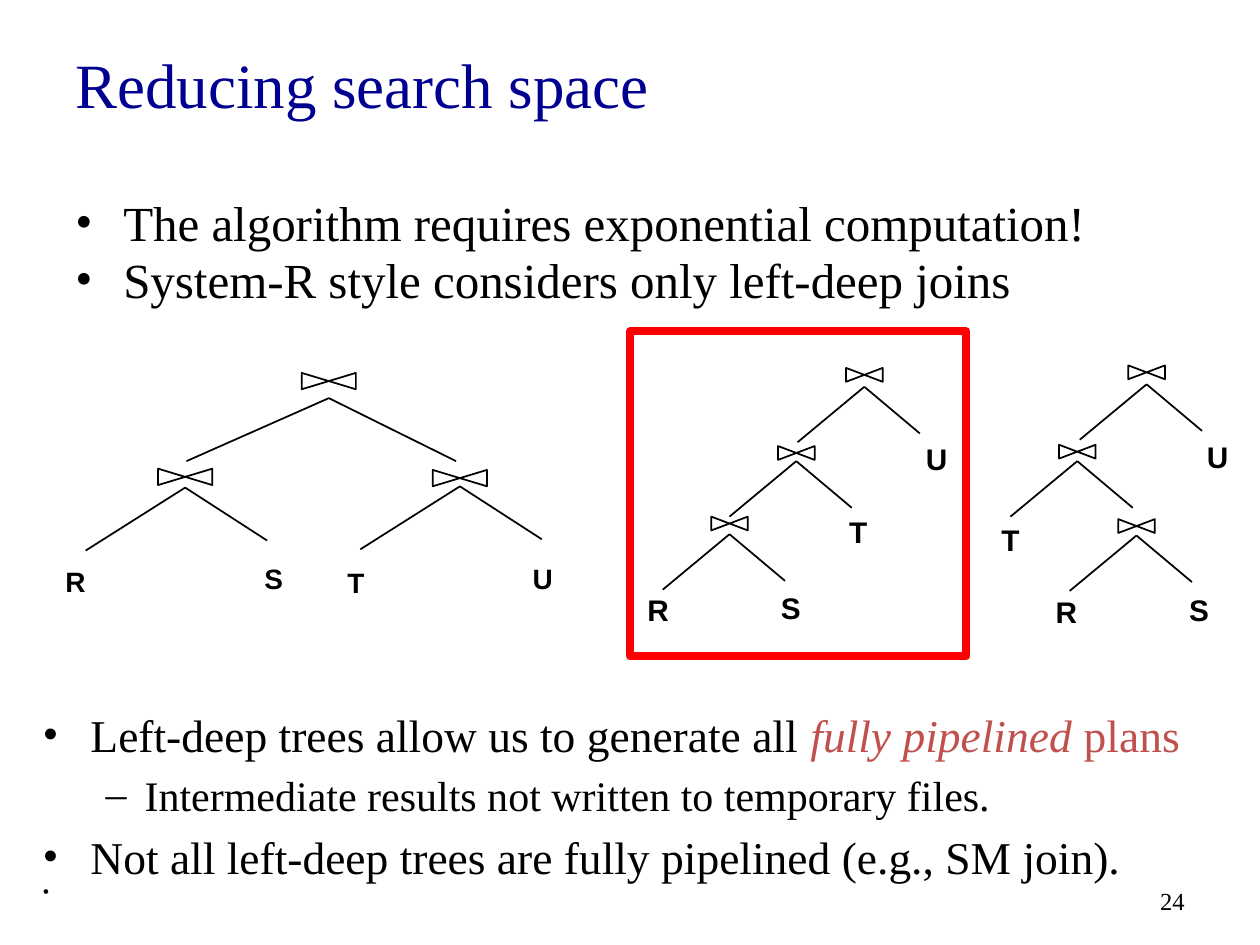
from lxml import etree
from pptx import Presentation
from pptx.dml.color import RGBColor
from pptx.enum.shapes import MSO_CONNECTOR, MSO_SHAPE
from pptx.enum.text import MSO_ANCHOR, PP_ALIGN
from pptx.oxml.ns import qn
from pptx.util import Inches, Pt

STRAIGHT = MSO_CONNECTOR.STRAIGHT
RECTANGLE = MSO_SHAPE.RECTANGLE
TOP, MIDDLE = MSO_ANCHOR.TOP, MSO_ANCHOR.MIDDLE
LEFT, RIGHT = PP_ALIGN.LEFT, PP_ALIGN.RIGHT
COLORS = {"title": "000090", "text": "000000", "accent": "C0504D", "frame": "FF0000"}
SERIF, SANS = "Times New Roman", "Arial"

deck = Presentation()
deck.slide_width, deck.slide_height = Inches(10), Inches(7.5)
page = deck.slides.add_slide(deck.slide_layouts[6])
shapes = page.shapes


def color(name):
    return RGBColor.from_string(COLORS[name])


def add_text(paragraphs, left, top, width, height, font=SERIF, size=28, bold=False,
             ink="text", anchor=TOP, align=LEFT, wrap=True):
    box = shapes.add_textbox(Inches(left), Inches(top), Inches(width), Inches(height))
    frame = box.text_frame
    frame.word_wrap = wrap
    frame.vertical_anchor = anchor
    for index, item in enumerate(paragraphs):
        para = frame.paragraphs[0] if index == 0 else frame.add_paragraph()
        para.alignment = align
        for text, style in item["spans"]:
            span = para.add_run()
            span.text = text
            span.font.name = font
            span.font.size = Pt(item.get("size", size))
            span.font.bold = bold
            span.font.italic = style.get("italic", False)
            span.font.color.rgb = color(style.get("ink", ink))
        if "bullet" in item:
            para.level = item.get("level", 0)
            margin, hanging = [(0.38, 0.38), (0.81, 0.31)][para.level]
            properties = para._p.get_or_add_pPr()
            properties.set("marL", str(Inches(margin)))
            properties.set("indent", str(-Inches(hanging)))
            before = etree.SubElement(properties, qn("a:spcBef"))
            etree.SubElement(before, qn("a:spcPct")).set("val", "20000")
            etree.SubElement(properties, qn("a:buFont")).set("typeface", font)
            etree.SubElement(properties, qn("a:buChar")).set("char", item["bullet"])
            if "spacing" in item:
                para.line_spacing = item["spacing"]


add_text([{"spans": [("Reducing search space", {})]}], 0.5, 0.06, 9, 1.2,
         size=36, ink="title", anchor=MIDDLE)
add_text([{"spans": [(text, {})], "bullet": "•", "spacing": 0.8} for text in (
    "The algorithm requires exponential computation!",
    "System-R style considers only left-deep joins")], 0.5, 1.57, 8.92, 1.01)

SHORT = ((-0.53, 0.44), (0.44, 0.37))
LONG = ((-0.79, 0.5), (0.65, 0.42))
ROOT = ((-1.13, 0.5), (1.01, 0.5))
trees = [
    {"join_size": (0.43, 0.13), "text_size": 16,
     "joins": [(2.61, 2.96, 3.16, ROOT), (1.47, 3.72, 3.87, LONG), (3.65, 3.73, 3.86, LONG)],
     "leaves": [("R", 0.42, 4.43), ("S", 2, 4.41), ("T", 2.66, 4.44), ("U", 4.13, 4.41)]},
    {"join_size": (0.29, 0.11), "text_size": 17,
     "joins": [(6.86, 2.92, 3.07, SHORT), (6.32, 3.54, 3.66, SHORT), (5.79, 4.1, 4.24, SHORT)],
     "leaves": [("R", 5.04, 4.65), ("S", 6.1, 4.63), ("T", 6.64, 4.03), ("U", 7.25, 3.45)]},
    {"join_size": (0.29, 0.11), "text_size": 17,
     "joins": [(9.1, 2.9, 3.05, SHORT), (8.55, 3.53, 3.66, SHORT), (9.02, 4.12, 4.25, SHORT)],
     "leaves": [("R", 8.28, 4.66), ("S", 9.34, 4.65), ("T", 7.85, 4.09), ("U", 9.48, 3.43)]},
]

for tree in trees:
    width, height = tree["join_size"]
    for center, top, apex, branches in tree["joins"]:
        left, right, bottom = center - width / 2, center + width / 2, top + height
        outline = shapes.build_freeform(Inches(left), Inches(top))
        outline.add_line_segments([(Inches(x), Inches(y)) for x, y in (
            (right, bottom), (right, top), (left, bottom))], close=True)
        join = outline.convert_to_shape()
        join.shadow.inherit = False
        join.fill.background()
        join.line.color.rgb = color("text")
        join.line.width = Pt(1)
        for across, down in branches:
            branch = shapes.add_connector(STRAIGHT, Inches(center), Inches(apex),
                                          Inches(center + across), Inches(apex + down))
            branch.line.color.rgb = color("text")
            branch.line.width = Pt(1)
            etree.SubElement(branch._element.spPr, qn("a:effectLst"))
    for letter, left, top in tree["leaves"]:
        add_text([{"spans": [(letter, {})]}], left, top, 0.37, 0.38, font=SANS,
                 size=tree["text_size"], bold=True, wrap=False)

frame_box = shapes.add_shape(RECTANGLE, Inches(5), Inches(2.63), Inches(2.67), Inches(2.58))
frame_box.shadow.inherit = False
frame_box.fill.background()
frame_box.line.color.rgb = color("frame")
frame_box.line.width = Pt(4.5)

add_text([
    {"spans": [("Left-deep trees allow us to generate all ", {}),
               ("fully pipelined ", {"ink": "accent", "italic": True}),
               ("plans", {"ink": "accent"})], "bullet": "•"},
    {"spans": [("Intermediate results not written to temporary files.", {})],
     "bullet": "–", "level": 1, "size": 24},
    {"spans": [("Not all left-deep trees are fully pipelined (e.g., SM join).", {})],
     "bullet": "•"},
    {"spans": [(" ", {})], "bullet": "•", "size": 11.2, "spacing": 0.7},
], 0.24, 5.56, 9.44, 1.83, size=26)
add_text([{"spans": [("24", {})]}], 7.17, 6.95, 2.33, 0.4,
         size=14, anchor=MIDDLE, align=RIGHT)

deck.save("out.pptx")
